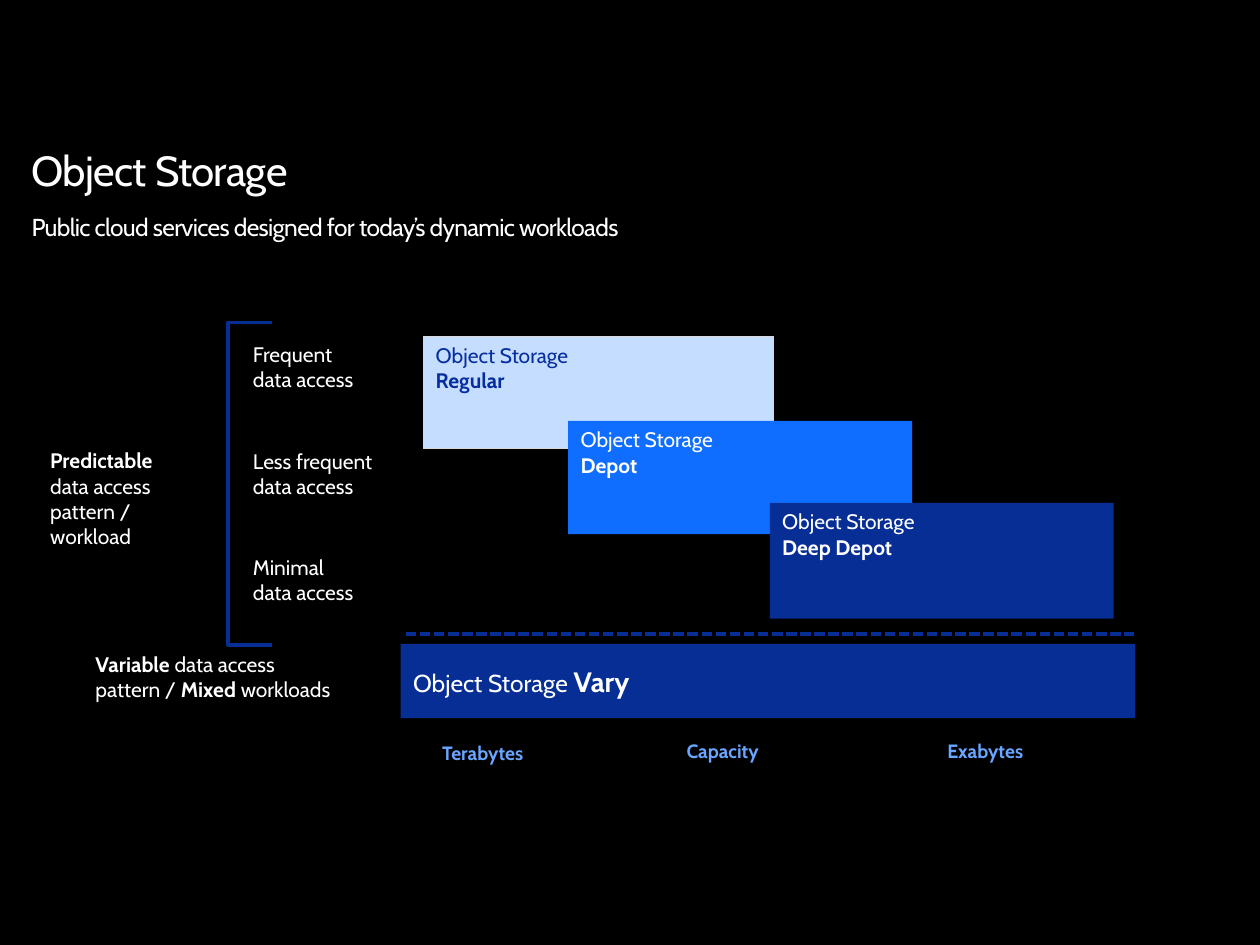
"""Build the Object Storage slide: storage tiers by access pattern and capacity."""
from lxml.etree import SubElement
from pptx import Presentation
from pptx.dml.color import RGBColor
from pptx.enum.dml import MSO_LINE
from pptx.enum.shapes import MSO_CONNECTOR, MSO_SHAPE
from pptx.enum.text import MSO_ANCHOR, PP_ALIGN
from pptx.oxml.ns import qn
from pptx.util import Inches, Pt

COLORS = {
    "black": "000000",
    "white": "FFFFFF",
    "navy": "062E95",
    "navy_text": "062E9F",
    "blue": "0F6DFF",
    "pale": "C5DEFF",
    "sky": "69A6FF",
    "grey": "D8D8D8",
}


def color(name):
    return RGBColor.from_string(COLORS[name])


def write(box, lines, text_color="white", anchor=MSO_ANCHOR.TOP):
    frame = box.text_frame
    frame.word_wrap = True
    frame.vertical_anchor = anchor
    for index, runs in enumerate(lines):
        para = frame.paragraphs[0] if index == 0 else frame.add_paragraph()
        para.alignment = PP_ALIGN.LEFT
        for text, size, bold in runs:
            span = para.add_run()
            span.text = text
            span.font.name = "Cabin"
            span.font.size = Pt(size)
            span.font.bold = bold
            span.font.color.rgb = color(text_color)


deck = Presentation()
deck.slide_width, deck.slide_height = Inches(10), Inches(7.5)
page = deck.slides.add_slide(deck.slide_layouts[6])
page.background.fill.solid()
page.background.fill.fore_color.rgb = color("black")

headings = [
    ("Object Storage", 24, 1.19, 4.5, 0.42),
    ("Public cloud services designed for today’s dynamic workloads", 14, 1.71, 5.68, 1.18),
]
for text, size, top, width, height in headings:
    box = page.shapes.add_textbox(Inches(0.25), Inches(top), Inches(width), Inches(height))
    write(box, [[(text, size, False)]])
    frame = box.text_frame
    frame.margin_left = frame.margin_right = frame.margin_top = frame.margin_bottom = 0
    para = frame.paragraphs[0]
    para.line_spacing = 0.9
    para.runs[0].font._element.set("spc", "-40")

labels = [
    (0.66, 5.12, 2.26, 0.5, "white", MSO_ANCHOR.TOP,
     [[("Variable", 12, True), (" data access pattern / ", 12, False),
       ("Mixed", 12, True), (" workloads", 12, False)]]),
    (0.3, 3.25, 1.51, 1.41, "white", MSO_ANCHOR.MIDDLE,
     [[("Predictable", 12, True)], [("data access pattern / workload", 12, False)]]),
]
for text, top in [("Frequent", 2.66), ("Less frequent", 3.51), ("Minimal", 4.35)]:
    lines = [[(text, 12, False)], [("data access", 12, False)]]
    labels.append((1.91, top, 1.43, 0.5, "white", MSO_ANCHOR.TOP, lines))
for text, left, top, width in [
    ("Terabytes", 3.41, 5.83, 1.82),
    ("Capacity", 5.35, 5.82, 0.99),
    ("Exabytes", 7.42, 5.82, 1.03),
]:
    labels.append((left, top, width, 0.29, "sky", MSO_ANCHOR.TOP, [[(text, 11, True)]]))
for left, top, width, height, text_color, anchor, lines in labels:
    box = page.shapes.add_textbox(Inches(left), Inches(top), Inches(width), Inches(height))
    write(box, lines, text_color, anchor)

builder = page.shapes.build_freeform(Inches(2.16), Inches(2.56))
builder.add_line_segments(
    [(Inches(x), Inches(y)) for x, y in [(1.81, 2.56), (1.81, 5.12), (2.16, 5.12)]], close=False
)
bracket = builder.convert_to_shape()
bracket.shadow.inherit = False
bracket.fill.background()
bracket.line.color.rgb = color("navy")
bracket.line.width = Pt(2)

divider = page.shapes.add_connector(
    MSO_CONNECTOR.STRAIGHT, Inches(3.22), Inches(5.03), Inches(9), Inches(5.03)
)
divider.line.color.rgb = color("navy")
divider.line.width = Pt(2)
divider.line.dash_style = MSO_LINE.SQUARE_DOT
SubElement(divider._element.spPr, qn("a:effectLst"))

tiers = [
    ("Regular", 3.36, 2.67, 2.78, 0.89, "pale", "navy_text"),
    ("Depot", 4.51, 3.34, 2.73, 0.9, "blue", "white"),
    ("Deep Depot", 6.11, 3.99, 2.73, 0.92, "navy", "white"),
    ("Vary", 3.18, 5.11, 5.83, 0.59, "navy", "white"),
]
for name, left, top, width, height, fill, text_color in tiers:
    tier = page.shapes.add_shape(
        MSO_SHAPE.RECTANGLE, Inches(left), Inches(top), Inches(width), Inches(height)
    )
    tier.shadow.inherit = False
    tier.fill.solid()
    tier.fill.fore_color.rgb = color(fill)
    if name == "Regular":
        tier.line.color.rgb = color("grey")
        tier.line.width = Pt(0.75)
    else:
        tier.line.fill.background()
    if name == "Vary":
        write(tier, [[("Object Storage ", 14, False), (name, 16, True)]],
              text_color, MSO_ANCHOR.MIDDLE)
    else:
        write(tier, [[("Object Storage", 12, False)], [(name, 12, True)]], text_color)

deck.save("out.pptx")
